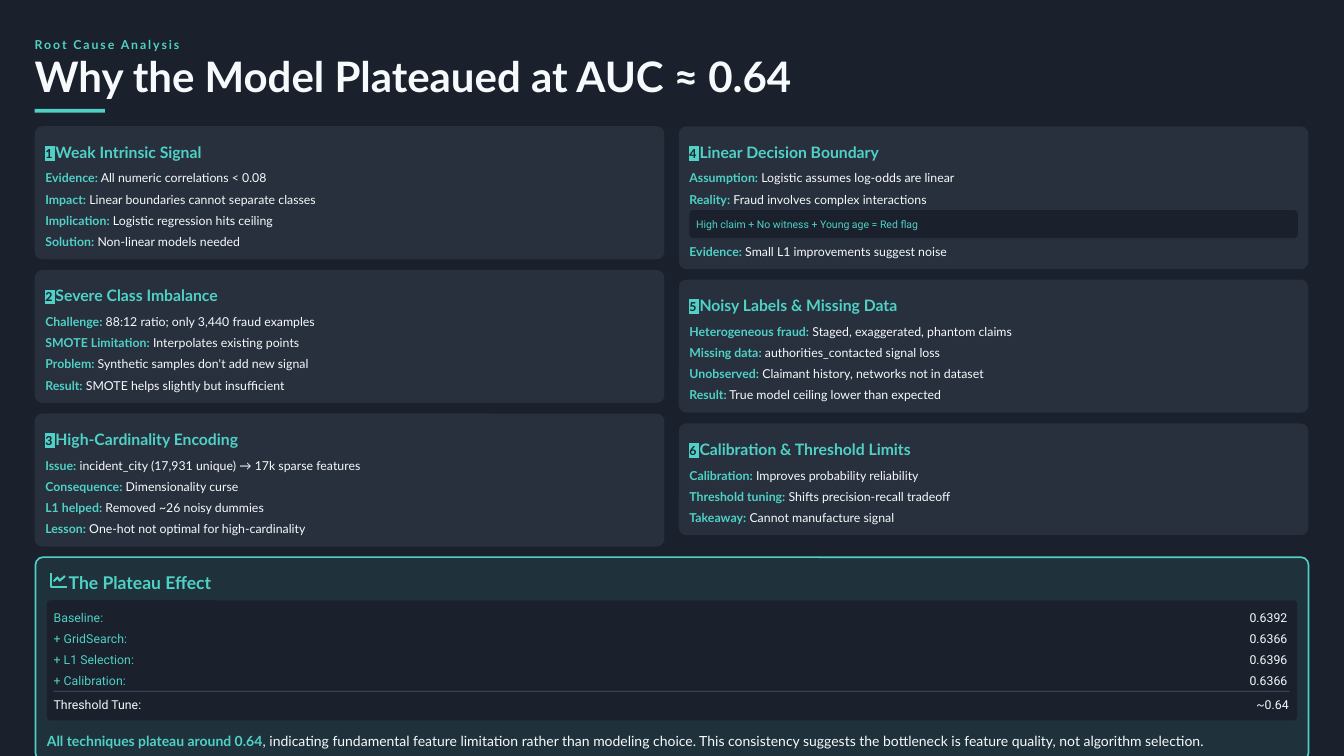
import pptx
import pptx.dml.color
import pptx.enum.shapes
import pptx.enum.text
import pptx.oxml
import pptx.oxml.ns
import pptx.util

# Content: cards hold a title and (label, words) rows; a lone string is a code chip
KICKER = "Root Cause Analysis"
TITLE = "Why the Model Plateaued at AUC ≈ 0.64"
COLS = [
    [
        ("Weak Intrinsic Signal", [
            ("Evidence:", "All numeric correlations < 0.08"),
            ("Impact:", "Linear boundaries cannot separate classes"),
            ("Implication:", "Logistic regression hits ceiling"),
            ("Solution:", "Non-linear models needed")]),
        ("Severe Class Imbalance", [
            ("Challenge:", "88:12 ratio; only 3,440 fraud examples"),
            ("SMOTE Limitation:", "Interpolates existing points"),
            ("Problem:", "Synthetic samples don't add new signal"),
            ("Result:", "SMOTE helps slightly but insufficient")]),
        ("High-Cardinality Encoding", [
            ("Issue:", "incident_city (17,931 unique) → 17k sparse features"),
            ("Consequence:", "Dimensionality curse"),
            ("L1 helped:", "Removed ~26 noisy dummies"),
            ("Lesson:", "One-hot not optimal for high-cardinality")]),
    ],
    [
        ("Linear Decision Boundary", [
            ("Assumption:", "Logistic assumes log-odds are linear"),
            ("Reality:", "Fraud involves complex interactions"),
            "High claim + No witness + Young age = Red flag",
            ("Evidence:", "Small L1 improvements suggest noise")]),
        ("Noisy Labels & Missing Data", [
            ("Heterogeneous fraud:", "Staged, exaggerated, phantom claims"),
            ("Missing data:", "authorities_contacted signal loss"),
            ("Unobserved:", "Claimant history, networks not in dataset"),
            ("Result:", "True model ceiling lower than expected")]),
        ("Calibration & Threshold Limits", [
            ("Calibration:", "Improves probability reliability"),
            ("Threshold tuning:", "Shifts precision-recall tradeoff"),
            ("Takeaway:", "Cannot manufacture signal")]),
    ],
]
PANEL = "The Plateau Effect"
SCORES = [("Baseline:", "0.6392"), ("+ GridSearch:", "0.6366"),
          ("+ L1 Selection:", "0.6396"), ("+ Calibration:", "0.6366")]
FINAL = ("Threshold Tune:", "~0.64")
CLOSE = ("All techniques plateau around 0.64",
         ", indicating fundamental feature limitation rather than modeling choice. "
         "This consistency suggests the bottleneck is feature quality, not algorithm selection.")
ICON = [[(0.67, 7.58), (0.67, 7.77), (0.88, 7.77)],
        [(0.71, 7.69), (0.76, 7.64), (0.79, 7.68), (0.86, 7.62)]]


class Theme:
    dark, teal, light, grey = "1A202C", "4FD1C5", "F7FAFC", "4A5568"
    sans, code = "Lato", "Roboto"
    body, chip, head, panel, close, title = 11.7, 10, 15, 16.7, 13.3, 40


LEFT, TOP, WIDE, COLGAP = 0.46, 1.67, 8.33, 0.19
PAD, GAP, STEP, ROW = 0.14, 0.14, 0.28, 0.23
FIRST, FRAME, CHIP, CHIPGAP = 0.55, 0.64, 0.37, 0.04

Inches = pptx.util.Inches
Shape = pptx.enum.shapes.MSO_SHAPE
qn = pptx.oxml.ns.qn
rgb = pptx.dml.color.RGBColor.from_string

deck = pptx.Presentation()
deck.slide_width, deck.slide_height = Inches(17.78), Inches(10)
slide = deck.slides.add_slide(deck.slide_layouts[6])
slide.background.fill.solid()
slide.background.fill.fore_color.rgb = rgb(Theme.dark)


def text(x, y, w, h, runs, size, face=Theme.sans, bold=None, space=1.2, pad=0):
    """Runs are (words, colour, bold) tuples; returns the paragraph."""
    frame = slide.shapes.add_textbox(*map(Inches, (x, y, w, h))).text_frame
    frame.word_wrap = True
    frame.vertical_anchor = pptx.enum.text.MSO_ANCHOR.MIDDLE
    frame.margin_left = frame.margin_right = Inches(pad)
    frame.margin_top = frame.margin_bottom = Inches(pad)
    para = frame.paragraphs[0]
    para.line_spacing = space
    para.font.name, para.font.size = face, pptx.util.Pt(size)
    para.font.bold = bold
    for words, color, *heavy in runs:
        run = para.add_run()
        run.text = words
        run.font.color.rgb = rgb(color)
        if heavy:
            run.font.bold = heavy[0]
    return para


def box(x, y, w, h, color, round=0, alpha=100, edge=None):
    kind = Shape.ROUNDED_RECTANGLE if round else Shape.RECTANGLE
    shape = slide.shapes.add_shape(kind, *map(Inches, (x, y, w, h)))
    shape.shadow.inherit = False
    if round:
        shape.adjustments[0] = round / min(w, h)
    shape.fill.solid()
    shape.fill.fore_color.rgb = rgb(color)
    if alpha < 100:
        tint = next(shape.element.iter(qn("a:srgbClr")))
        tint.append(pptx.oxml.parse_xml(
            f'<a:alpha {pptx.oxml.ns.nsdecls("a")} val="{alpha * 1000}"/>'))
    if edge:
        shape.line.color.rgb = rgb(edge)
        shape.line.width = pptx.util.Pt(1.6)
    else:
        shape.line.fill.background()


def pair(x, y, w, h, label, rest, size, space=1.2):
    text(x, y, w, h, [(label, Theme.teal, True), (rest, Theme.light, False)],
         size, space=space)


def badge(run):
    """Shade the card number and set it at body size."""
    run.font.size = pptx.util.Pt(Theme.body)
    fill = run.font.fill._xPr.find(qn("a:solidFill"))
    fill.addnext(pptx.oxml.parse_xml(
        f'<a:highlight {pptx.oxml.ns.nsdecls("a")}>'
        f'<a:srgbClr val="{Theme.teal}"/></a:highlight>'))


def card(x, y, num, title, rows):
    """Draw one card and return its height."""
    chips = sum(isinstance(row, str) for row in rows)
    high = FRAME + STEP * (len(rows) - chips) + (CHIP + CHIPGAP) * chips
    box(x, y, WIDE, high, Theme.grey, 0.1, 30)
    para = text(x + PAD, y + PAD, 8.16, 0.32,
                [(f"{num} ", Theme.dark), (title, Theme.teal)],
                Theme.head, bold=True, space=1.3)
    badge(para.runs[0])
    at = y + FIRST
    for row in rows:
        if isinstance(row, str):
            box(x + PAD, at, WIDE - 2 * PAD, CHIP, Theme.dark, 0.05)
            text(x + PAD, at, 8.12, CHIP, [(row, Theme.teal)], Theme.chip,
                 Theme.code, space=1.1, pad=0.09)
            at += CHIP + CHIPGAP
        else:
            pair(x + PAD, at, 8.14, ROW, row[0], " " + row[1], Theme.body)
            at += STEP
    return high


def score(y, label, value, color):
    wide = 0.61 if len(value) > 5 else 0.52
    for x, w, words, tone in [(0.71, 1.5, label, color),
                              (17.14 - wide, wide, value, Theme.light)]:
        text(x, y, w, ROW, [(words, tone)], Theme.body, Theme.code)


# Heading
kicker = text(LEFT, 0.46, 16.93, ROW, [(KICKER, Theme.teal)], Theme.body, bold=True)
kicker.runs[0].font._element.set("spc", "180")
text(LEFT, 0.79, 17.13, 0.56, [(TITLE, Theme.light)], Theme.title, bold=True, space=0.8)
box(LEFT, 1.44, 0.93, 0.05, Theme.teal)

# Cards, numbered down each column
num = 0
for col, cards in enumerate(COLS):
    y = TOP
    for title, rows in cards:
        num += 1
        y += card(LEFT + col * (WIDE + COLGAP), y, num, title, rows) + GAP

# Plateau panel with its line icon
box(0.47, 7.37, 16.84, 2.69, Theme.teal, 0.1, 10, Theme.teal)
for points in ICON:
    spots = [(Inches(x), Inches(y)) for x, y in points]
    build = slide.shapes.build_freeform(*spots[0])
    build.add_line_segments(spots[1:], close=False)
    stroke = build.convert_to_shape()
    stroke.shadow.inherit = False
    stroke.fill.background()
    stroke.line.color.rgb = rgb(Theme.teal)
    stroke.line.width = pptx.util.Pt(2)
text(0.91, 7.52, 16.37, 0.32, [(PANEL, Theme.teal)], Theme.panel, bold=True)

# Scores
box(0.62, 7.94, 16.54, 1.59, Theme.dark, 0.05)
for i, (label, value) in enumerate(SCORES):
    score(8.03 + i * STEP, label, value, Theme.teal)
box(0.71, 9.14, 16.35, 0.01, Theme.grey)
score(9.19, *FINAL, Theme.light)
pair(0.62, 9.61, 16.63, 0.3, *CLOSE, Theme.close, space=1.4)

deck.save("out.pptx")
